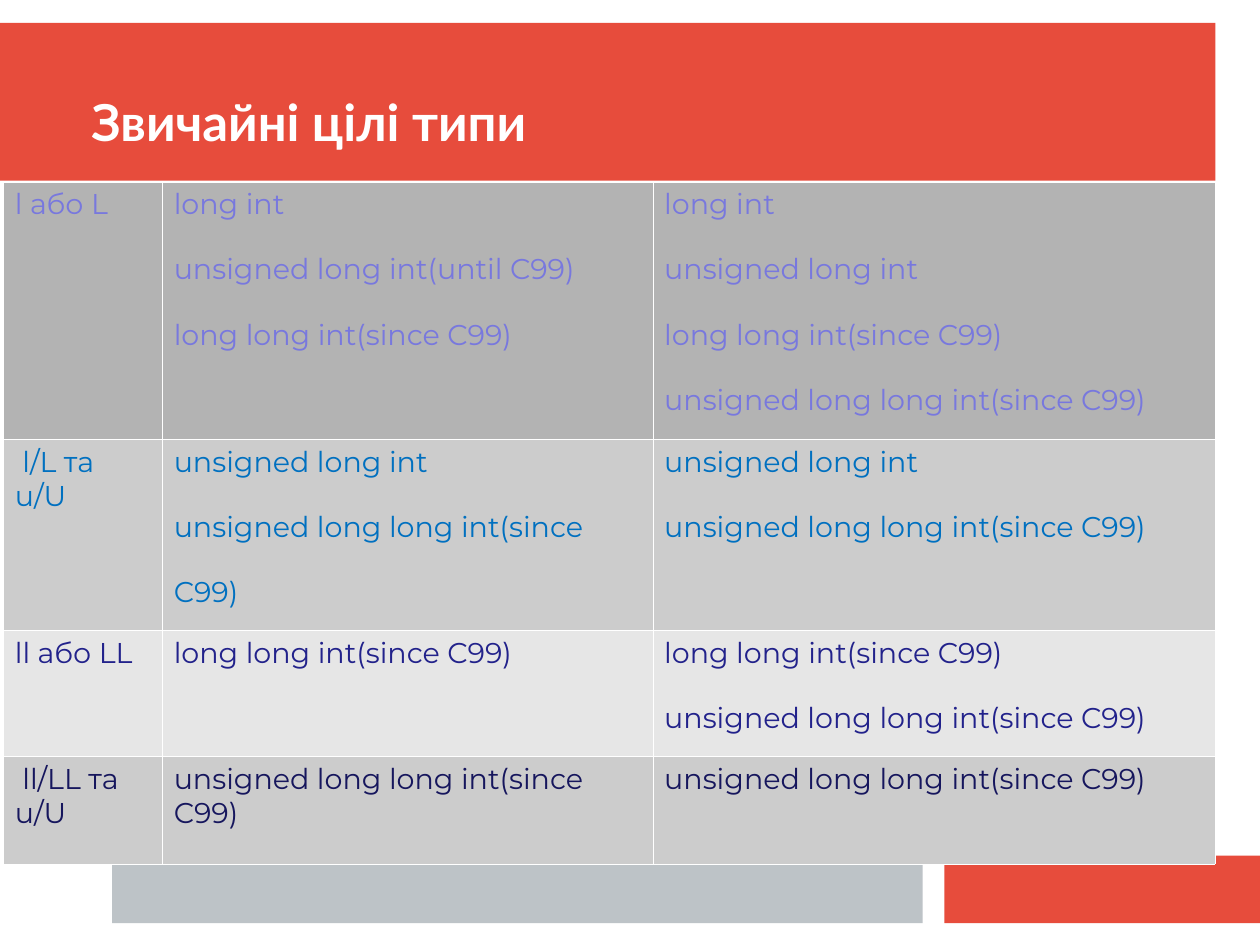
from pptx import Presentation
from pptx.dml.color import RGBColor as RGB
from pptx.enum.shapes import MSO_SHAPE as SHAPE
from pptx.enum.text import MSO_ANCHOR as ANCHOR
from pptx.oxml import parse_xml
from pptx.oxml.ns import nsdecls
from pptx.util import Inches, Pt

COLORS = {
    "red": "E74C3C", "silver": "BDC3C7", "white": "FFFFFF",
    "gray_dark": "B3B3B3", "gray": "CCCCCC", "gray_light": "E6E6E6",
    "lilac": "7878DE", "blue": "0070C0", "indigo": "22228B", "navy": "16165D",
}
COL_WIDTHS = [1.39, 4.29, 4.92]
ROW_HEIGHTS = [2.25, 1.67, 1.1, 0.94]

LONG, ULONG = "long int", "unsigned long int"
LLONG, ULLONG = "long long int(since C99)", "unsigned long long int(since C99)"

# Fill, text colour, then the suffix, decimal and other-base types;
# each cell is a list of paragraphs
ROWS = [
    ("gray_dark", "lilac", ["l або L"],
     [LONG, f"unsigned long int(until C99)\n{LLONG}"],
     [LONG, f"{ULONG}\n{LLONG}\n{ULLONG}"]),
    ("gray", "blue", [" l/L та u/U"], [ULONG, ULLONG], [ULONG, ULLONG]),
    ("gray_light", "indigo", ["ll або LL"], [LLONG], [LLONG, ULLONG]),
    ("gray", "navy", [" ll/LL та u/U"], [ULLONG], [ULLONG]),
]


def rgb(name):
    return RGB.from_string(COLORS[name])


def write(p, text, font="Montserrat", size=18, color="white", bold=False,
          spacing=0.98):
    """Fill a paragraph; a newline in the text is a line break."""
    p.line_spacing = spacing
    for i, line in enumerate(text.split("\n")):
        if i:
            p.add_line_break()
        r = p.add_run()
        r.text = line
        r.font.name, r.font.size, r.font.bold = font, Pt(size), bold
        r.font.color.rgb = rgb(color)


class Deck:
    def __init__(self, width, height):
        self.prs = Presentation()
        self.prs.slide_width, self.prs.slide_height = Inches(width), Inches(height)
        self.s = self.prs.slides.add_slide(self.prs.slide_layouts[6])

    def rect(self, x, y, w, h, fill):
        sp = self.s.shapes.add_shape(
            SHAPE.RECTANGLE, Inches(x), Inches(y), Inches(w), Inches(h))
        sp.shadow.inherit = False
        sp.fill.solid()
        sp.fill.fore_color.rgb = rgb(fill)
        sp.line.fill.background()

    def title(self, x, y, w, h, text):
        sp = self.s.shapes.add_textbox(Inches(x), Inches(y), Inches(w), Inches(h))
        tf = sp.text_frame
        tf.word_wrap = True
        tf.vertical_anchor = ANCHOR.BOTTOM
        tf.margin_left = tf.margin_top = tf.margin_right = tf.margin_bottom = 0
        write(tf.paragraphs[0], text, font="Lato", size=32, bold=True)

    def table(self, x, y, widths, heights, rows):
        frame = self.s.shapes.add_table(
            len(heights), len(widths), Inches(x), Inches(y),
            Inches(sum(widths)), Inches(sum(heights)))
        table = frame.table
        table.first_row = table.horz_banding = False
        for col, w in zip(table.columns, widths):
            col.width = Inches(w)
        for row, h, (fill, color, *cells) in zip(table.rows, heights, rows):
            row.height = Inches(h)
            for cell, paragraphs in zip(row.cells, cells):
                self.cell(cell, paragraphs, fill, color)

    def cell(self, cell, paragraphs, fill, color):
        # Borders come before the fill in the cell properties
        tc_pr = cell._tc.get_or_add_tcPr()
        for side in "LRTB":
            tc_pr.append(parse_xml(
                f'<a:ln{side} {nsdecls("a")} w="{Pt(0.06)}"><a:solidFill>'
                f'<a:srgbClr val="{COLORS["white"]}"/></a:solidFill></a:ln{side}>'))
        cell.fill.solid()
        cell.fill.fore_color.rgb = rgb(fill)
        cell.margin_left = cell.margin_right = Inches(0.1)
        cell.margin_top = cell.margin_bottom = Inches(0.05)
        tf = cell.text_frame
        for i, text in enumerate(paragraphs):
            p = tf.add_paragraph() if i else tf.paragraphs[0]
            write(p, text, color=color, spacing=1.87 if i else 0.98)


def main():
    deck = Deck(11.02, 8.27)

    # Header band and footer blocks
    deck.rect(0, 0.2, 10.63, 1.38, "red")
    deck.rect(8.26, 7.48, 2.76, 0.59, "red")
    deck.rect(0.98, 7.48, 7.09, 0.59, "silver")

    # Integer literal types
    deck.table(0.03, 1.59, COL_WIDTHS, ROW_HEIGHTS, ROWS)

    deck.title(0.8, 0.36, 8.97, 0.98, "Звичайні цілі типи")
    deck.prs.save("out.pptx")


if __name__ == "__main__":
    main()
